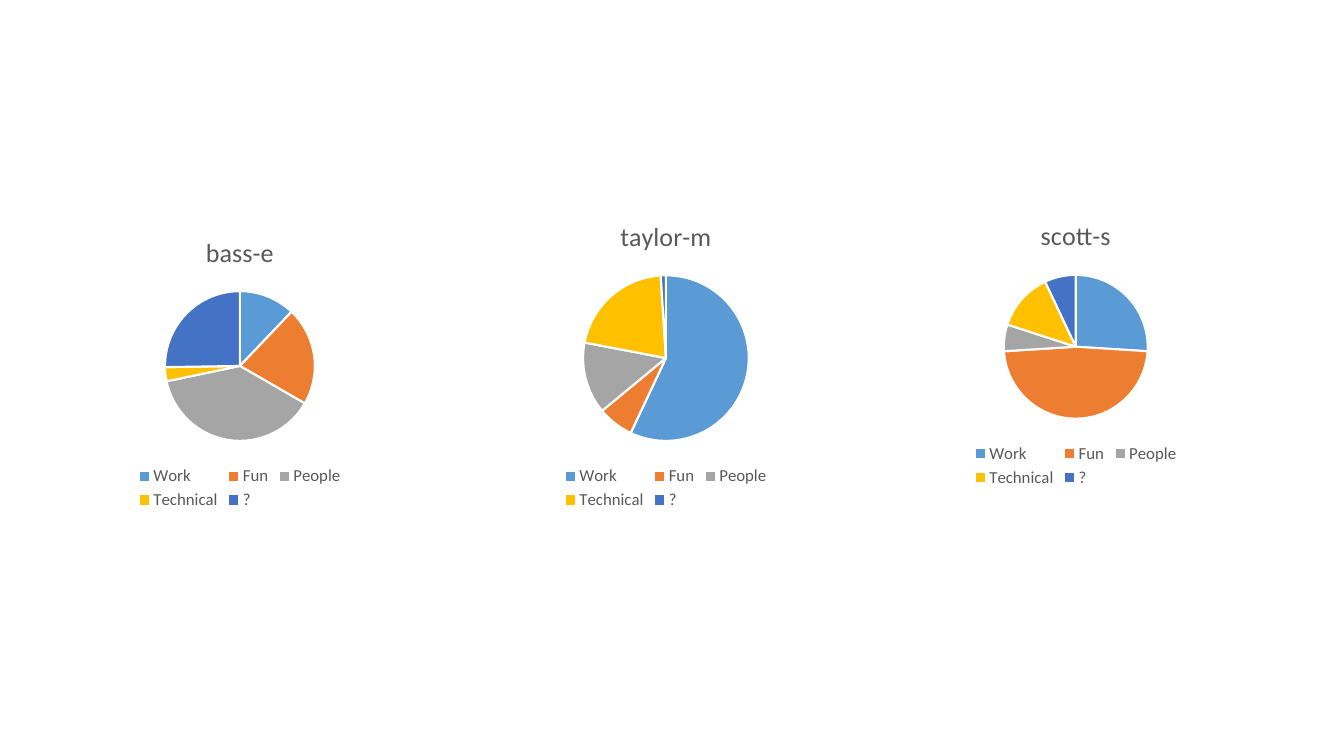
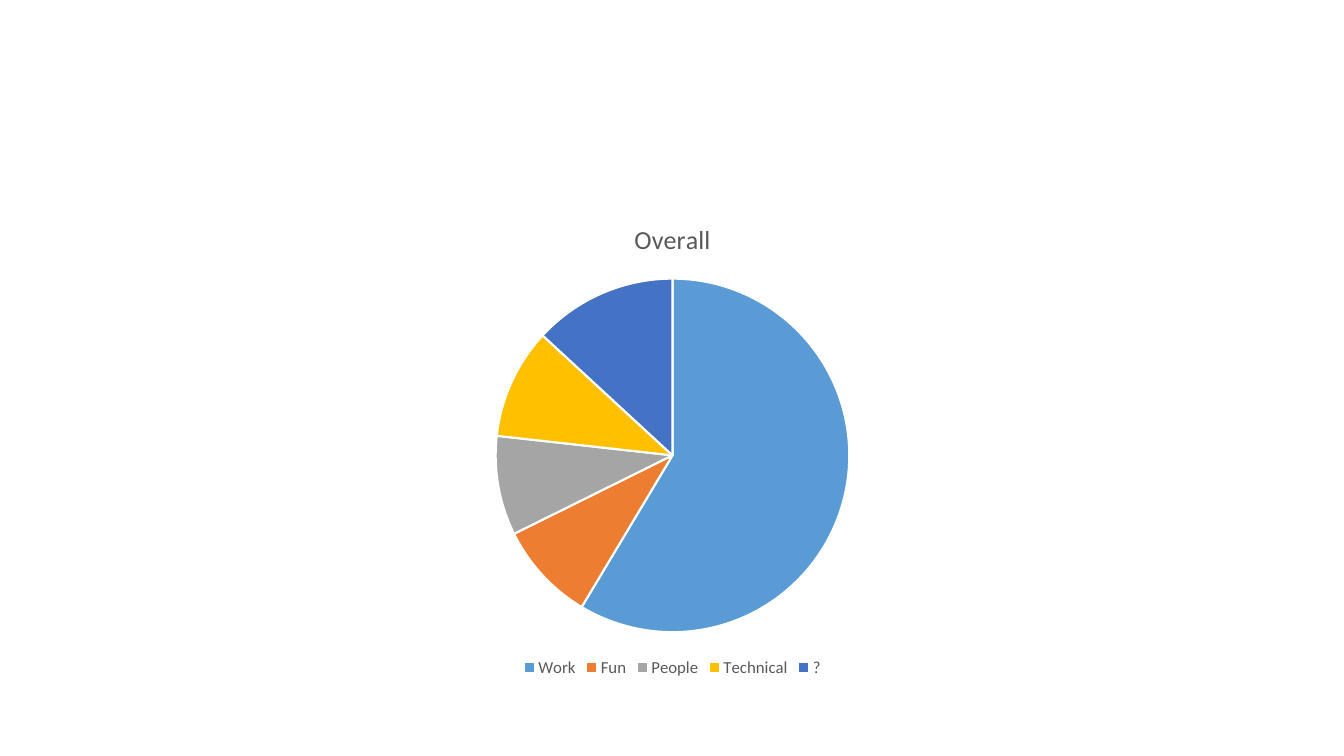
from pptx import Presentation
from pptx.chart.data import CategoryChartData
from pptx.dml.color import RGBColor
from pptx.enum.chart import XL_CHART_TYPE, XL_LEGEND_POSITION
from pptx.util import Inches, Pt

PIE = XL_CHART_TYPE.PIE
BOTTOM = XL_LEGEND_POSITION.BOTTOM

FONT = "Calibri"
WHITE = RGBColor(0xFF, 0xFF, 0xFF)
BLACK = RGBColor(0x00, 0x00, 0x00)
GRAY_TEXT = RGBColor(0x59, 0x59, 0x59)
BLUE = RGBColor(0x5B, 0x9B, 0xD5)
ORANGE = RGBColor(0xED, 0x7D, 0x31)
GRAY = RGBColor(0xA5, 0xA5, 0xA5)
GOLD = RGBColor(0xFF, 0xC0, 0x00)
DARK_BLUE = RGBColor(0x44, 0x72, 0xC4)

CATEGORY_COLORS = {
    "Work": BLUE,
    "Fun": ORANGE,
    "People": GRAY,
    "Technical": GOLD,
    "?": DARK_BLUE,
}

# Each slide is a list of pies: title, values, (left, top, width, height) in inches
SLIDES = [
    [
        ("bass-e", (12, 21, 38, 3, 25), (0.78, 2.16, 3.2, 2.94)),
        ("taylor-m", (57, 7, 14, 21, 1), (4.8, 2, 3.61, 3.1)),
        ("scott-s", (26, 48, 6, 13, 7), (8.92, 2, 3.5, 2.88)),
    ],
    [
        ("Overall", (58, 9, 9, 10, 13), (0.92, 2, 11.5, 4.76)),
    ],
]


def style_font(font, size, color):
    """Apply the shared typeface with a size in points and a colour."""
    font.name = FONT
    font.size = Pt(size)
    font.bold = False
    font.color.rgb = color


def add_pie(page, title, values, frame):
    """Add a titled pie chart with one colour per category and a bottom legend."""
    data = CategoryChartData()
    data.categories = list(CATEGORY_COLORS)
    data.add_series(title, values)
    chart = page.shapes.add_chart(PIE, *map(Inches, frame), data).chart
    style_font(chart.font, 10, BLACK)

    chart.has_title = True
    heading = chart.chart_title.text_frame
    heading.text = title
    style_font(heading.paragraphs[0].runs[0].font, 18.6, GRAY_TEXT)

    chart.has_legend = True
    chart.legend.position = BOTTOM
    chart.legend.include_in_layout = False
    style_font(chart.legend.font, 12, GRAY_TEXT)

    plot = chart.plots[0]
    plot.vary_by_categories = True
    for index, color in enumerate(CATEGORY_COLORS.values()):
        wedge = plot.series[0].points[index].format
        wedge.fill.solid()
        wedge.fill.fore_color.rgb = color
        wedge.line.color.rgb = WHITE
        wedge.line.width = Pt(1.5)


def build_deck():
    """Build one blank-layout slide for each list of pies."""
    deck = Presentation()
    deck.slide_width = Inches(13.33)
    deck.slide_height = Inches(7.5)
    blank = deck.slide_layouts.get_by_name("Blank")
    for pies in SLIDES:
        page = deck.slides.add_slide(blank)
        for title, values, frame in pies:
            add_pie(page, title, values, frame)
    return deck


build_deck().save("out.pptx")
